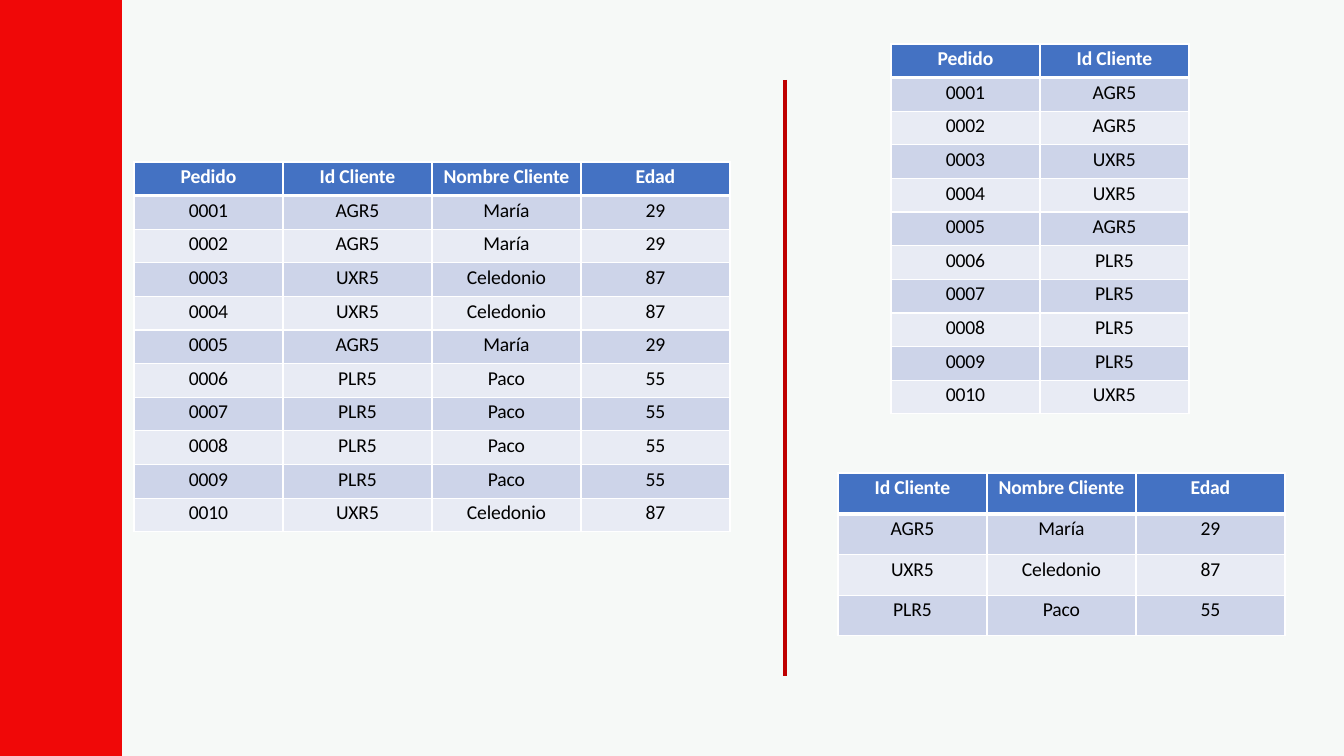
"""Build a slide that splits one orders table into two normalised tables."""
from dataclasses import dataclass

from lxml import etree
from pptx import Presentation
from pptx.dml.color import RGBColor
from pptx.enum.shapes import MSO_CONNECTOR, MSO_SHAPE
from pptx.enum.text import PP_ALIGN
from pptx.oxml.ns import qn
from pptx.util import Pt

CENTER = PP_ALIGN.CENTER
RECTANGLE = MSO_SHAPE.RECTANGLE
STRAIGHT = MSO_CONNECTOR.STRAIGHT

CUSTOMERS = {
    "AGR5": ("María", "29"),
    "UXR5": ("Celedonio", "87"),
    "PLR5": ("Paco", "55"),
}
ORDERS = [
    ("0001", "AGR5"),
    ("0002", "AGR5"),
    ("0003", "UXR5"),
    ("0004", "UXR5"),
    ("0005", "AGR5"),
    ("0006", "PLR5"),
    ("0007", "PLR5"),
    ("0008", "PLR5"),
    ("0009", "PLR5"),
    ("0010", "UXR5"),
]
ORDER_HEADS = ("Pedido", "Id Cliente")
CUSTOMER_HEADS = ("Id Cliente", "Nombre Cliente", "Edad")

COMBINED_ROWS = [ORDER_HEADS + CUSTOMER_HEADS[1:]]
COMBINED_ROWS += [(order, key, *CUSTOMERS[key]) for order, key in ORDERS]
CUSTOMER_ROWS = [CUSTOMER_HEADS]
CUSTOMER_ROWS += [(key, *details) for key, details in CUSTOMERS.items()]
ORDER_ROWS = [ORDER_HEADS, *ORDERS]

TABLES = [
    {"rows": COMBINED_ROWS, "left": 134, "top": 162, "height": 370},
    {"rows": CUSTOMER_ROWS, "left": 838, "top": 473, "height": 163},
    {"rows": ORDER_ROWS, "left": 891, "top": 44, "height": 370},
]
SLIDE_WIDTH, SLIDE_HEIGHT = 1344, 756
BAND_WIDTH = 122
COLUMN_WIDTH = 149
CELL_TOP_MARGIN = 3
DIVIDER_X, DIVIDER_TOP, DIVIDER_BOTTOM = 785, 80, 676


@dataclass(frozen=True)
class Theme:
    font: str = "Calibri"
    size: int = 14
    tracking: int = -10
    page: str = "F6F9F7"
    band: str = "F00808"
    divider: str = "BF0000"
    divider_width: float = 2.5
    head: str = "4472C3"
    stripes: tuple = ("CDD4E9", "E8EBF4")
    head_text: str = "FFFFFF"
    body_text: str = "000000"
    border: str = "FFFFFF"
    thin: int = 1
    thick: int = 3


THEME = Theme()


def px(length):
    return round(length * 914400 / 100.8)


def color(value):
    return RGBColor.from_string(value)


def add_panel(page, left, width, fill):
    panel = page.shapes.add_shape(RECTANGLE, px(left), 0, px(width), px(SLIDE_HEIGHT))
    panel.shadow.inherit = False
    panel.fill.solid()
    panel.fill.fore_color.rgb = color(fill)
    panel.line.fill.background()


def add_divider(page):
    divider = page.shapes.add_connector(
        STRAIGHT, px(DIVIDER_X), px(DIVIDER_TOP), px(DIVIDER_X), px(DIVIDER_BOTTOM))
    divider.line.color.rgb = color(THEME.divider)
    divider.line.width = Pt(THEME.divider_width)
    etree.SubElement(divider._element.spPr, qn("a:effectLst"))


def set_borders(cell, row):
    properties = cell._tc.get_or_add_tcPr()
    widths = {
        "L": THEME.thin,
        "R": THEME.thin,
        "T": THEME.thick if row == 1 else THEME.thin,
        "B": THEME.thick if row == 0 else THEME.thin,
    }
    for side, width in widths.items():
        line = etree.SubElement(properties, qn(f"a:ln{side}"), w=str(Pt(width)))
        fill = etree.SubElement(line, qn("a:solidFill"))
        etree.SubElement(fill, qn("a:srgbClr"), val=THEME.border)


def fill_cell(cell, text, row):
    is_head = row == 0
    set_borders(cell, row)
    cell.fill.solid()
    cell.fill.fore_color.rgb = color(THEME.head if is_head else THEME.stripes[(row - 1) % 2])
    cell.margin_left = cell.margin_right = cell.margin_bottom = 0
    cell.margin_top = px(CELL_TOP_MARGIN)
    para = cell.text_frame.paragraphs[0]
    para.alignment = CENTER
    span = para.add_run()
    span.text = text
    span._r.get_or_add_rPr().set("spc", str(THEME.tracking))
    para.font.name = THEME.font
    para.font.size = Pt(THEME.size)
    para.font.bold = is_head
    para.font.color.rgb = color(THEME.head_text if is_head else THEME.body_text)


def add_data_table(page, rows, left, top, height):
    column_count = len(rows[0])
    table = page.shapes.add_table(
        len(rows), column_count, px(left), px(top),
        px(COLUMN_WIDTH * column_count), px(height)).table
    table.horz_banding = False
    for row, values in enumerate(rows):
        for column, text in enumerate(values):
            fill_cell(table.cell(row, column), text, row)


def main():
    deck = Presentation()
    deck.slide_width, deck.slide_height = px(SLIDE_WIDTH), px(SLIDE_HEIGHT)
    page = deck.slides.add_slide(deck.slide_layouts.get_by_name("Blank"))
    add_panel(page, BAND_WIDTH, SLIDE_WIDTH - BAND_WIDTH, THEME.page)
    add_panel(page, 0, BAND_WIDTH, THEME.band)
    for table in TABLES:
        add_data_table(page, **table)
    add_divider(page)
    deck.save("out.pptx")


if __name__ == "__main__":
    main()
